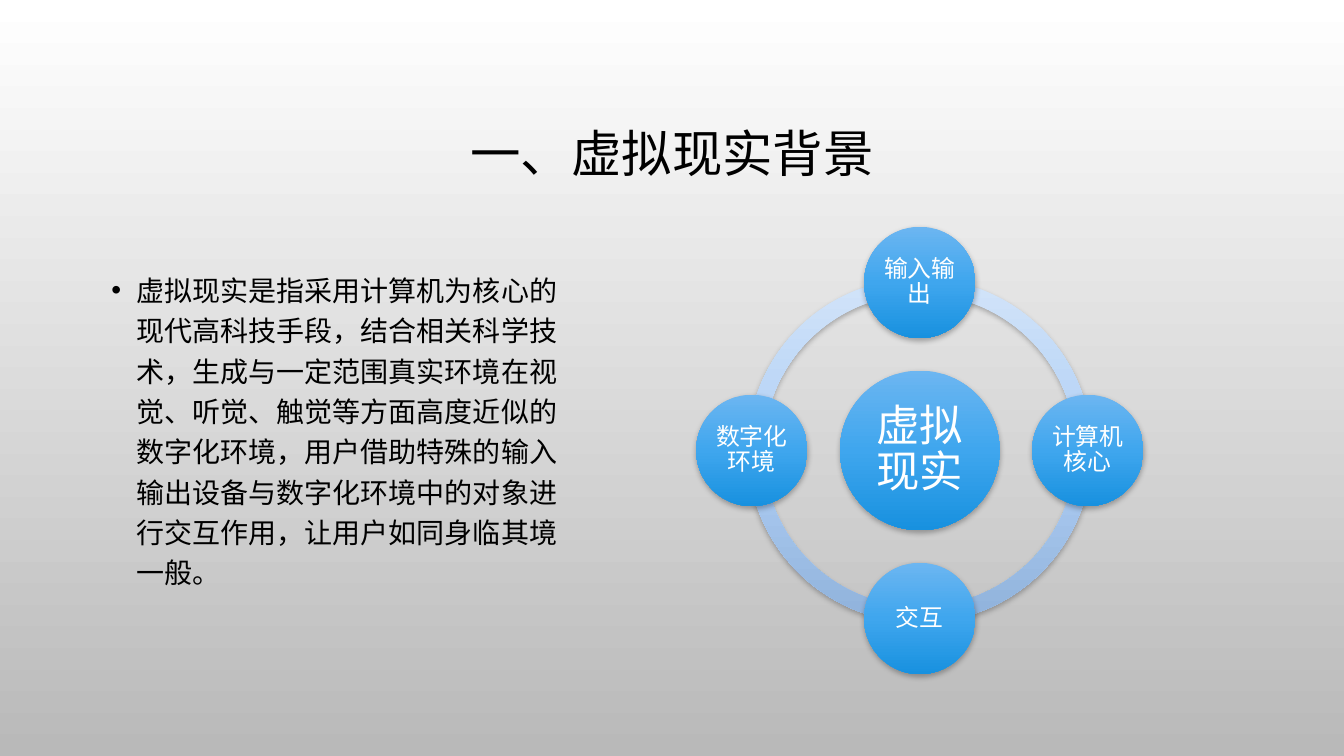
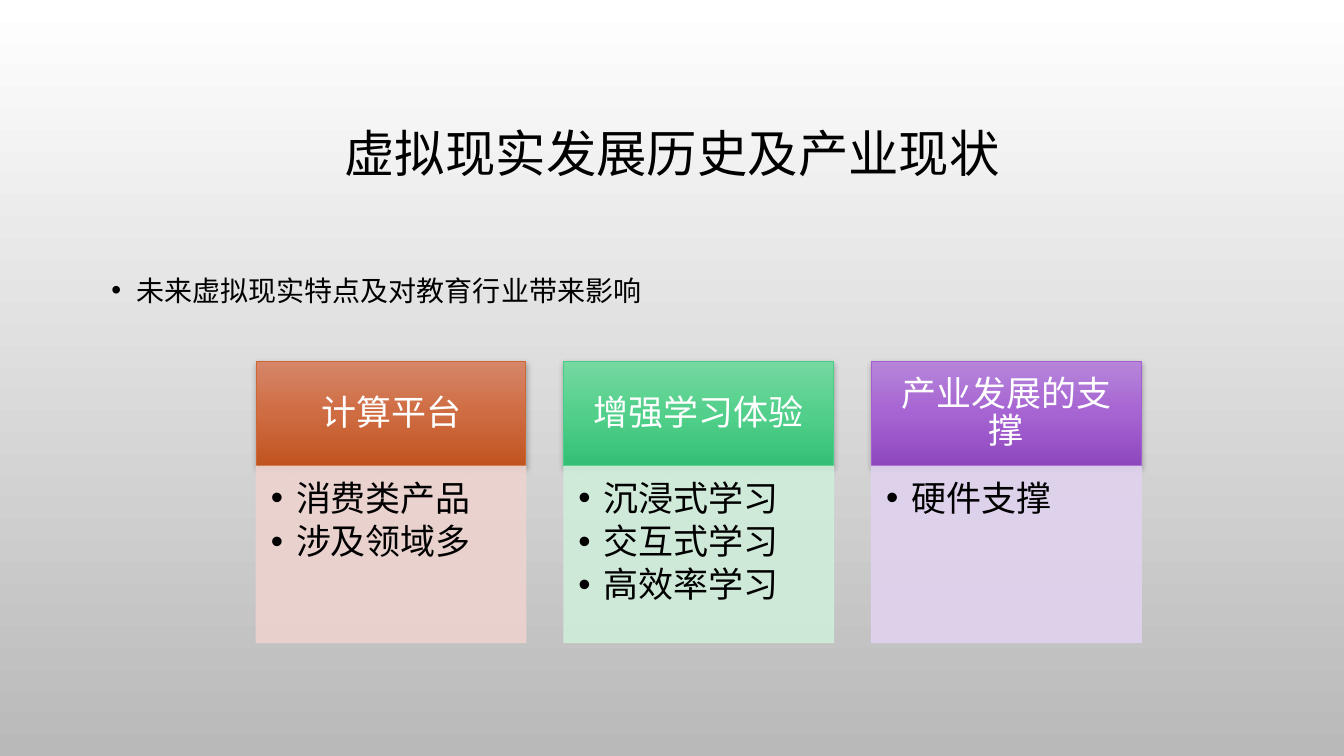
"""Build two slides on the background and the current state of virtual reality."""
from copy import deepcopy
from dataclasses import dataclass
from typing import NamedTuple

from lxml import etree
from pptx import Presentation, util as u
from pptx.dml.color import RGBColor
from pptx.enum import shapes, text
from pptx.oxml.ns import qn

PX = 9525
FONT = "Calibri"
BLACK = RGBColor(0x00, 0x00, 0x00)
WHITE = RGBColor(0xFF, 0xFF, 0xFF)
BACKGROUND = (WHITE, RGBColor(0xB9, 0xB9, 0xB9))
RING = (RGBColor(0xD2, 0xE4, 0xF9), RGBColor(0xB0, 0xCF, 0xF5), RGBColor(0x90, 0xB2, 0xDB))
BALL = (RGBColor(0x6C, 0xB6, 0xF1), RGBColor(0x3F, 0xA6, 0xEE), RGBColor(0x18, 0x91, 0xDF))
ORANGE = (RGBColor(0xD6, 0x86, 0x69), RGBColor(0xCF, 0x6C, 0x42), RGBColor(0xC0, 0x54, 0x1F))
ORANGE_LINE = RGBColor(0xCE, 0x66, 0x33)
ORANGE_TINT = RGBColor(0xED, 0xD3, 0xCE)
GREEN = (RGBColor(0x76, 0xD8, 0xA0), RGBColor(0x52, 0xD0, 0x8B), RGBColor(0x33, 0xBF, 0x74))
GREEN_LINE = RGBColor(0x48, 0xCF, 0x87)
GREEN_TINT = RGBColor(0xD0, 0xED, 0xDA)
PURPLE = (RGBColor(0xB6, 0x85, 0xDA), RGBColor(0xA6, 0x64, 0xD2), RGBColor(0x8F, 0x47, 0xBF))
PURPLE_LINE = RGBColor(0xA3, 0x5D, 0xD1)
PURPLE_TINT = RGBColor(0xE0, 0xD2, 0xEE)

CENTER_X, CENTER_Y = 876, 429
RING_SIZE, CORE_SIZE, NODE_SIZE, ORBIT = 328, 152, 106, 160
QUARTER_TURN = 54
COLUMN_LEFT, COLUMN_STEP, COLUMN_WIDTH = 244, 293, 257
HEADER_TOP, HEADER_HEIGHT, LIST_HEIGHT = 344, 100, 168


class Box(NamedTuple):
    left: int
    top: int
    width: int
    height: int

    def emu(self) -> list[int]:
        return [v * PX for v in self]


@dataclass(frozen=True)
class TextStyle:
    size: int
    color: RGBColor
    insets: tuple[int, int, int, int] = (10, 5, 10, 5)
    centered: bool = True
    spacing: float = 0.9
    before: int = 0
    after: int = 0


@dataclass(frozen=True)
class Node:
    label: str
    dx: int
    dy: int


@dataclass(frozen=True)
class Column:
    title: str
    items: tuple[str, ...]
    gradient: tuple[RGBColor, ...]
    line: RGBColor
    tint: RGBColor


TITLE = TextStyle(36, BLACK)
BODY = TextStyle(20, BLACK, centered=False, spacing=1.2, before=10)
CORE = TextStyle(31, WHITE, (4, 4, 4, 4))
NODE = TextStyle(17, WHITE, (2, 2, 2, 2))
HEADER = TextStyle(25, WHITE, (18, 11, 18, 11))
ITEMS = TextStyle(25, BLACK, (14, 14, 18, 21), centered=False, after=4)

NODES = (
    Node("输入输出", 0, -1),
    Node("计算机核心", 1, 0),
    Node("交互", 0, 1),
    Node("数字化环境", -1, 0),
)
COLUMNS = (
    Column("计算平台", ("消费类产品", "涉及领域多"), ORANGE, ORANGE_LINE, ORANGE_TINT),
    Column("增强学习体验", ("沉浸式学习", "交互式学习", "高效率学习"), GREEN, GREEN_LINE, GREEN_TINT),
    Column("产业发展的支撑", ("硬件支撑",), PURPLE, PURPLE_LINE, PURPLE_TINT),
)


def add_gradient(owner, fill, colors: tuple[RGBColor, ...]) -> None:
    fill.gradient()
    fill.gradient_angle = 270
    stops = owner.element.find(".//" + qn("a:gsLst"))
    while len(stops) < len(colors):
        stops.append(deepcopy(stops[0]))
    for i, (stop, color) in enumerate(zip(fill.gradient_stops, colors)):
        stop.color.rgb = color
        stop.position = i / (len(colors) - 1)


def add_shadow(sp) -> None:
    effects = sp.element.spPr.find(qn("a:effectLst"))
    shadow = etree.SubElement(effects, qn("a:outerShdw"), blurRad=str(u.Pt(4)), dist=str(u.Pt(2)),
                              dir="5400000", algn="ctr", rotWithShape="0")
    color = etree.SubElement(shadow, qn("a:srgbClr"), val=str(BLACK))
    etree.SubElement(color, qn("a:alpha"), val="28000")


def write(tf, lines: tuple[str, ...], style: TextStyle) -> None:
    tf.word_wrap = True
    tf.margin_left, tf.margin_top, tf.margin_right, tf.margin_bottom = [v * PX for v in style.insets]
    tf.vertical_anchor = text.MSO_ANCHOR.MIDDLE if style.centered else text.MSO_ANCHOR.TOP
    tf.text = "\n".join(lines)
    for p in tf.paragraphs:
        p.alignment = text.PP_ALIGN.CENTER if style.centered else text.PP_ALIGN.LEFT
        p.line_spacing = style.spacing
        p.space_before, p.space_after = u.Pt(style.before), u.Pt(style.after)
        if not style.centered:
            pPr = p._p.get_or_add_pPr()
            pPr.set("marL", str(24 * PX))
            pPr.set("indent", str(-24 * PX))
            etree.SubElement(pPr, qn("a:buFont"), typeface="Arial")
            etree.SubElement(pPr, qn("a:buChar"), char="•")
        for r in p.runs:
            r.font.name, r.font.size = FONT, u.Pt(style.size)
            r.font.color.rgb = style.color


def add_text(s, box: Box, content: str, style: TextStyle) -> None:
    write(s.shapes.add_textbox(*box.emu()).text_frame, (content,), style)


def add_solid(s, kind, box: Box, gradient: tuple[RGBColor, ...], line: RGBColor | None = None):
    sp = s.shapes.add_shape(kind, *box.emu())
    add_gradient(sp, sp.fill, gradient)
    if line is None:
        sp.line.fill.background()
    else:
        sp.line.color.rgb, sp.line.width = line, u.Pt(0.75)
    sp.shadow.inherit = False
    add_shadow(sp)
    return sp


def around(x: int, y: int, size: int) -> Box:
    return Box(x - size // 2, y - size // 2, size, size)


def add_ball(s, box: Box, label: str, style: TextStyle) -> None:
    sp = add_solid(s, shapes.MSO_SHAPE.OVAL, box, BALL)
    write(sp.text_frame, (label,), style)


def add_cycle(s) -> None:
    for quarter in (2, 1, 0, 3):
        arc = add_solid(s, shapes.MSO_SHAPE.BLOCK_ARC, around(CENTER_X, CENTER_Y, RING_SIZE), RING)
        arc.adjustments[0] = quarter * QUARTER_TURN
        arc.adjustments[1] = (quarter + 1) % 4 * QUARTER_TURN
        arc.adjustments[2] = 0.046
    add_ball(s, around(CENTER_X, CENTER_Y, CORE_SIZE), "虚拟现实", CORE)
    for node in NODES:
        box = around(CENTER_X + node.dx * ORBIT, CENTER_Y + node.dy * ORBIT, NODE_SIZE)
        add_ball(s, box, node.label, NODE)


def add_column(s, left: int, column: Column) -> None:
    header = Box(left, HEADER_TOP, COLUMN_WIDTH, HEADER_HEIGHT)
    sp = add_solid(s, shapes.MSO_SHAPE.RECTANGLE, header, column.gradient, column.line)
    write(sp.text_frame, (column.title,), HEADER)
    panel = Box(left, HEADER_TOP + HEADER_HEIGHT, COLUMN_WIDTH, LIST_HEIGHT)
    sp = s.shapes.add_shape(shapes.MSO_SHAPE.RECTANGLE, *panel.emu())
    sp.shadow.inherit = False
    sp.fill.solid()
    sp.fill.fore_color.rgb = sp.line.color.rgb = column.tint
    sp.line.width = u.Pt(0.75)
    for color in sp.element.spPr.iter(qn("a:srgbClr")):
        etree.SubElement(color, qn("a:alpha"), val="90000")
    write(sp.text_frame, column.items, ITEMS)


def add_slide(prs, title: str, body: str, body_box: Box):
    s = prs.slides.add_slide(prs.slide_layouts[6])
    add_text(s, Box(96, 65, 1088, 168), title, TITLE)
    add_text(s, body_box, body, BODY)
    return s


def main() -> None:
    prs = Presentation()
    prs.slide_width, prs.slide_height = 1280 * PX, 720 * PX
    add_gradient(prs.slide_master, prs.slide_master.background.fill, BACKGROUND)

    s = add_slide(
        prs, "一、虚拟现实背景",
        "虚拟现实是指采用计算机为核心的现代高科技手段，结合相关科学技术，生成与一定范围真实环境在视觉、"
        "听觉、触觉等方面高度近似的数字化环境，用户借助特殊的输入输出设备与数字化环境中的对象进行交互作用，"
        "让用户如同身临其境一般。",
        Box(96, 249, 445, 378))
    add_cycle(s)

    s = add_slide(prs, "虚拟现实发展历史及产业现状", "未来虚拟现实特点及对教育行业带来影响",
                  Box(96, 249, 642, 56))
    for i, column in enumerate(COLUMNS):
        add_column(s, COLUMN_LEFT + i * COLUMN_STEP, column)

    prs.save("out.pptx")


if __name__ == "__main__":
    main()
